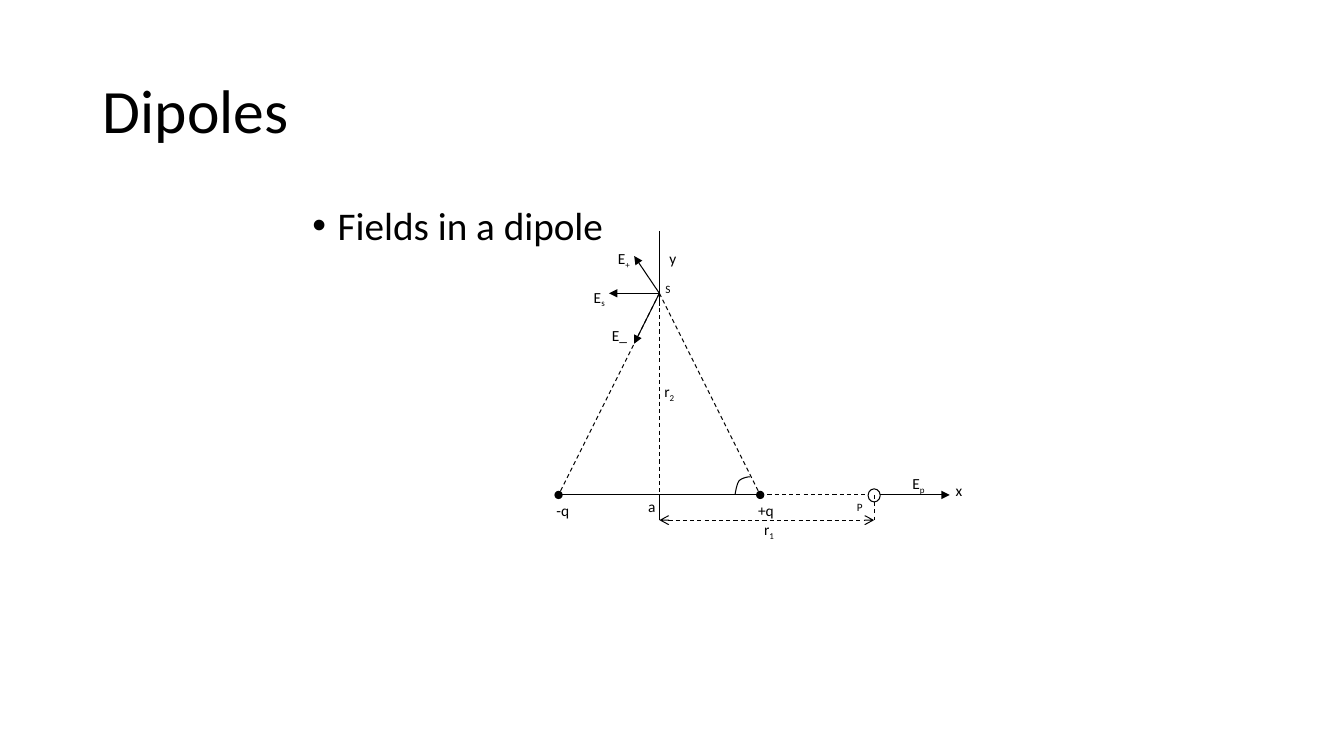
"""Build the slide showing the electric fields around a dipole."""
from dataclasses import dataclass

from lxml import etree
from pptx import Presentation
from pptx.dml.color import RGBColor
from pptx.enum.dml import MSO_LINE
from pptx.enum.shapes import MSO_CONNECTOR, MSO_SHAPE
from pptx.enum.text import MSO_ANCHOR, PP_ALIGN
from pptx.oxml.ns import qn
from pptx.util import Pt

PX = 9144
DASH = MSO_LINE.DASH
STRAIGHT = MSO_CONNECTOR.STRAIGHT
CIRCLE = MSO_SHAPE.FLOWCHART_CONNECTOR
LEFT = PP_ALIGN.LEFT
MIDDLE = MSO_ANCHOR.MIDDLE
TITLE_ONLY = 5


@dataclass(frozen=True)
class Theme:
    """Colours, font and sizes of the slide."""
    ink: RGBColor = RGBColor(0, 0, 0)
    paper: RGBColor = RGBColor(255, 255, 255)
    font: str = "Calibri"
    title: int = 44
    bullet: int = 28
    label: int = 11
    point: int = 8
    stroke: float = 0.75


THEME = Theme()
LABEL_FORMAT = {"line_spacing": 1.07, "space_after": Pt(8)}
BULLET_FORMAT = {"line_spacing": 0.9, "space_before": Pt(10)}
TITLE_FORMAT = {"line_spacing": 0.9, "alignment": LEFT}

S, FOOT = (112, 62), (112, 262)
MINUS, PLUS, P = (12, 262), (212, 262), (325, 262)
RULER_START, RULER_END = (112, 287), (325, 287)

LINES = [
    (S, FOOT, DASH, None, None),
    (S, MINUS, DASH, None, None),
    (S, PLUS, DASH, None, None),
    (MINUS, PLUS, None, "oval", "oval"),
    (PLUS, P, DASH, None, None),
    (P, (400, 262), None, None, "triangle"),
    (FOOT, RULER_START, None, None, None),
    (RULER_START, RULER_END, DASH, "arrow", "arrow"),
    (S, (87, 112), None, None, "triangle"),
    (S, (87, 25), None, None, "triangle"),
    (S, (62, 62), None, None, "triangle"),
    ((112, 0), (112, 75), None, None, None),
]
RADIUS_LINE = (P, RULER_END, DASH, None, None)

LABELS = [
    ("-q", "", THEME.label, (0, 262, 38, 25)),
    ("+q", "", THEME.label, (200, 262, 38, 25)),
    ("P", "", THEME.point, (298, 262, 38, 25)),
    ("S", "", THEME.point, (108, 45, 25, 25)),
    ("E", "s", THEME.label, (37, 50, 38, 25)),
    ("E_", "", THEME.label, (55, 88, 38, 36)),
    ("E", "+", THEME.label, (61, 12, 38, 36)),
    ("r", "2", THEME.label, (107, 144, 38, 36)),
    ("r", "1", THEME.label, (206, 281, 38, 36)),
    ("y", "", THEME.label, (112, 12, 25, 38)),
    ("E", "p", THEME.label, (353, 235, 38, 36)),
    ("x", "", THEME.label, (396, 242, 25, 37)),
    ("a", "", THEME.label, (91, 258, 25, 25)),
]
ANGLE_CURVES = [
    ((187, 262), (188, 256), (189, 251), (191, 248)),
    ((191, 248), (194, 245), (200, 244), (202, 244)),
]


def apply_format(target, values):
    """Set every named attribute on the target."""
    for name, value in values.items():
        setattr(target, name, value)


def emu(*lengths):
    """Turn px lengths into EMU."""
    return [round(length * PX) for length in lengths]


def write(paragraph, words, size, layout):
    """Add a formatted run to a paragraph and return it."""
    apply_format(paragraph, layout)
    run = paragraph.add_run()
    run.text = words
    apply_format(run.font, {"size": Pt(size), "name": THEME.font})
    run.font.color.rgb = THEME.ink
    return run


def add_text(slide, box, words, size, layout):
    """Add a wrapping text box and return its paragraph."""
    frame = slide.shapes.add_textbox(*emu(*box)).text_frame
    frame.word_wrap = True
    write(frame.paragraphs[0], words, size, layout)
    return frame.paragraphs[0]


def ink_line(line, dash=None):
    """Give a line the ink colour, stroke width and dash."""
    line.color.rgb = THEME.ink
    apply_format(line, {"width": Pt(THEME.stroke), "dash_style": dash})


def add_line(slide, origin, start, end, dash, head, tail):
    """Draw one straight line with optional end marks."""
    left, top = origin
    line = slide.shapes.add_connector(STRAIGHT, *emu(
        left + start[0], top + start[1], left + end[0], top + end[1]))
    ink_line(line.line, dash)
    properties = line._element.spPr
    outline = properties.find(qn("a:ln"))
    for tag, mark in (("a:headEnd", head), ("a:tailEnd", tail)):
        if mark:
            etree.SubElement(outline, qn(tag), type=mark)
    etree.SubElement(properties, qn("a:effectLst"))


def curve_points(curve, steps=8):
    """List points along a cubic curve, without its start."""
    a, b, c, d = curve
    for step in range(1, steps + 1):
        t = step / steps
        u = 1 - t
        yield tuple(u**3 * i + 3 * u * u * t * j + 3 * u * t * t * k + t**3 * m
                    for i, j, k, m in zip(a, b, c, d))


def add_angle(slide, origin):
    """Draw the angle arc beside the positive charge."""
    left, top = origin
    start_x, start_y = ANGLE_CURVES[0][0]
    builder = slide.shapes.build_freeform(*emu(left + start_x, top + start_y))
    points = [emu(left + x, top + y)
              for curve in ANGLE_CURVES for x, y in curve_points(curve)]
    builder.add_line_segments(points, close=False)
    arc = builder.convert_to_shape()
    arc.shadow.inherit = False
    arc.fill.background()
    ink_line(arc.line)


def add_field_point(slide, origin):
    """Draw the open circle at point P."""
    x, y = origin[0] + P[0], origin[1] + P[1]
    circle = slide.shapes.add_shape(CIRCLE, *emu(x - 6, y - 6, 12, 13))
    circle.shadow.inherit = False
    circle.fill.solid()
    circle.fill.fore_color.rgb = THEME.paper
    ink_line(circle.line)


def add_title(slide, box):
    """Place and format the slide title."""
    title = slide.shapes.title
    apply_format(title, dict(zip(("left", "top", "width", "height"), emu(*box))))
    title.text_frame.vertical_anchor = MIDDLE
    write(title.text_frame.paragraphs[0], "Dipoles", THEME.title, TITLE_FORMAT)


def add_bullet(slide, box):
    """Place the bulleted topic line."""
    topic = add_text(slide, box, "Fields in a dipole", THEME.bullet, BULLET_FORMAT)
    properties = topic._p.get_or_add_pPr()
    for name, value in zip(("marL", "indent"), emu(25, -25)):
        properties.set(name, str(value))
    etree.SubElement(properties, qn("a:buFont"), typeface="Arial")
    etree.SubElement(properties, qn("a:buChar"), char="•")


def add_diagram(slide, origin):
    """Draw the dipole with its axes, field arrows and labels."""
    left, top = origin
    for line in LINES:
        add_line(slide, origin, *line)
    add_field_point(slide, origin)
    add_line(slide, origin, *RADIUS_LINE)
    add_angle(slide, origin)
    for words, subscript, size, (x, y, width, height) in LABELS:
        label = add_text(slide, (left + x, top + y, width, height),
                         words, size, LABEL_FORMAT)
        if subscript:
            run = write(label, subscript, size, LABEL_FORMAT)
            run._r.get_or_add_rPr().set("baseline", "-25000")


def main():
    """Build and save the slide."""
    deck = Presentation()
    deck.slide_width, deck.slide_height = emu(1333, 750)
    slide = deck.slides.add_slide(deck.slide_layouts[TITLE_ONLY])
    add_title(slide, (92, 40, 1150, 145))
    add_bullet(slide, (300, 200, 710, 476))
    add_diagram(slide, (542, 229))
    deck.save("out.pptx")


if __name__ == "__main__":
    main()
